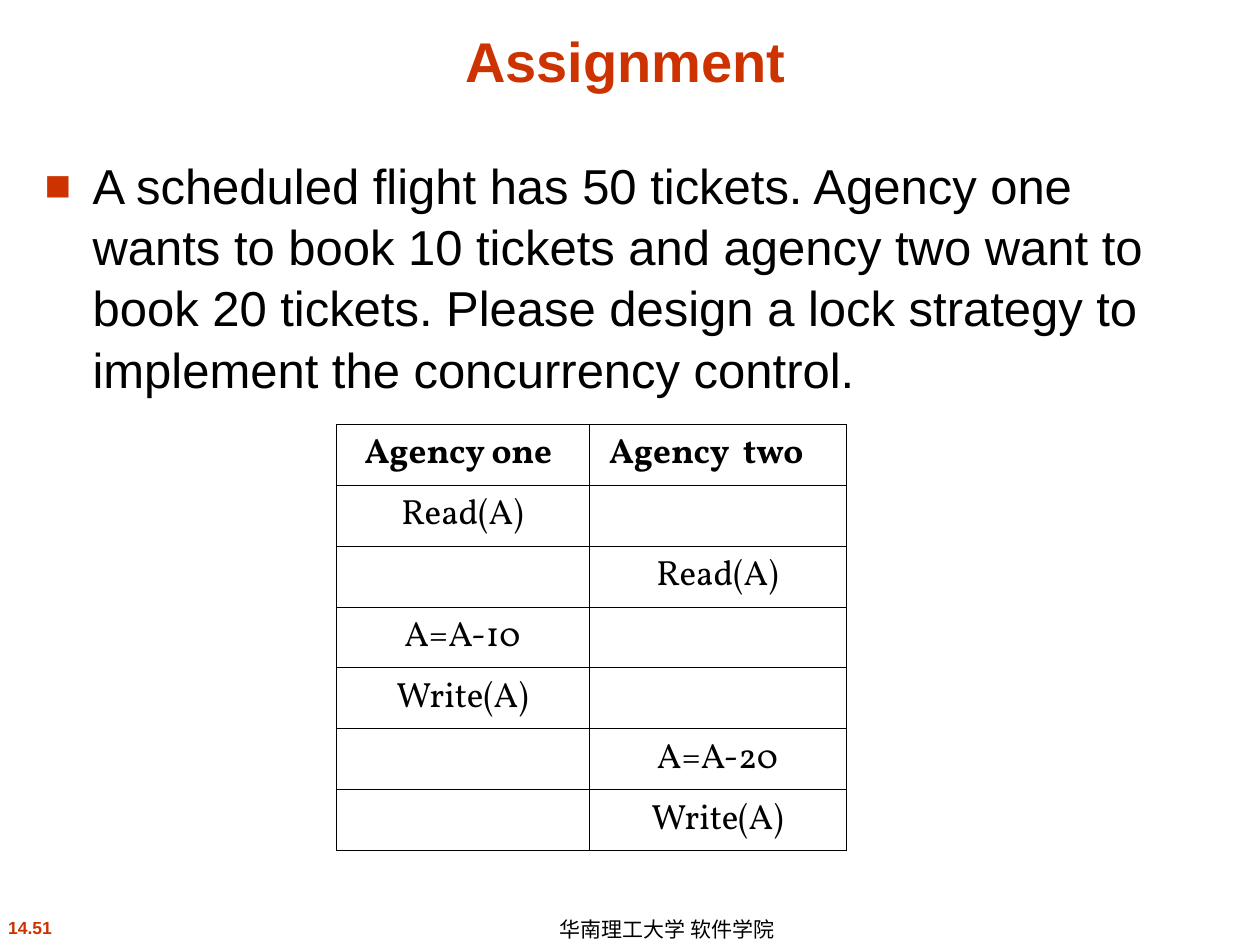
import pptx
import pptx.util
import pptx.dml.color
import pptx.enum.text
import pptx.oxml
import pptx.oxml.ns

ALIGN = pptx.enum.text.PP_ALIGN
ANCHOR = pptx.enum.text.MSO_ANCHOR
PX = 914400 // 126
COLORS = {"accent": "CC3300", "ink": "000000"}

# Content
TITLE = "Assignment"
TASK = ("A scheduled flight has 50 tickets. Agency one wants to book 10 tickets "
        "and agency two want to book 20 tickets. Please design a lock strategy "
        "to implement the concurrency control.")
SCHEDULE = [
    ("Agency one", "Agency  two"),
    ("Read(A)", ""),
    ("", "Read(A)"),
    ("A=A-10", ""),
    ("Write(A)", ""),
    ("", "A=A-20"),
    ("", "Write(A)"),
]
PAGE = "14.51"
FOOTER = "华南理工大学 软件学院"

# Layout in px: left, top, width, height
TITLE_BOX = (32, 16, 1187, 84)
TASK_BOX = (32, 147, 1187, 725)
PAGE_BOX = (-37, 911, 134, 34)
FOOTER_BOX = (505, 914, 282, 31)
TABLE_LEFT, TABLE_TOP = 336, 424
COLUMN_WIDTHS = (253, 257)
ROW_HEIGHT = 61
HEADER_RIGHT_MARGINS = (21, 35)
TASK_INDENT = 48

# Formats
TITLE_FONT = {"name": "Arial", "size": 32, "bold": True, "color": "accent"}
TASK_FONT = {"name": "Arial", "size": 28, "bold": False, "color": "ink"}
PAGE_FONT = {"name": "Arial", "size": 10, "bold": True, "color": "accent"}
FOOTER_FONT = {"name": "Arial", "size": 12, "bold": False, "color": "ink"}
CELL_FONT = {"name": "Vollkorn", "size": 20, "bold": False, "color": "ink"}
HEADER_FONT = {**CELL_FONT, "bold": True}


def px(value):
    return pptx.util.Emu(value * PX)


def place(shape, box):
    for side, value in zip(("left", "top", "width", "height"), box):
        setattr(shape, side, px(value))


def write(frame, text, font, align):
    frame.text = text
    paragraph = frame.paragraphs[0]
    paragraph.alignment = align
    paragraph.space_before = pptx.util.Pt(0)
    run_font = paragraph.runs[0].font
    values = {**font, "size": pptx.util.Pt(font["size"])}
    color = values.pop("color")
    for name, value in values.items():
        setattr(run_font, name, value)
    run_font.color.rgb = pptx.dml.color.RGBColor.from_string(COLORS[color])
    return paragraph


def fill_placeholder(shape, box, text, font, align, anchor):
    place(shape, box)
    frame = shape.text_frame
    frame.auto_size = pptx.enum.text.MSO_AUTO_SIZE.NONE
    frame.vertical_anchor = anchor
    return write(frame, text, font, align)


def add_label(slide, box, text, font, align, anchor):
    frame = slide.shapes.add_textbox(*map(px, box)).text_frame
    frame.word_wrap = False
    frame.vertical_anchor = anchor
    return write(frame, text, font, align)


def add_bullet(paragraph):
    properties = paragraph._p.get_or_add_pPr()
    properties.set("marL", str(px(TASK_INDENT)))
    properties.set("indent", str(-px(TASK_INDENT)))
    namespace = pptx.oxml.ns.nsdecls("a")
    for element in (
        f'<a:buClr {namespace}><a:srgbClr val="{COLORS["accent"]}"/></a:buClr>',
        f'<a:buSzPct {namespace} val="90000"/>',
        f'<a:buFont {namespace} typeface="Arial"/>',
        f'<a:buChar {namespace} char="■"/>',
    ):
        properties.append(pptx.oxml.parse_xml(element))


def add_borders(cell):
    properties = cell._tc.get_or_add_tcPr()
    namespace = pptx.oxml.ns.nsdecls("a")
    for index, side in enumerate(("lnL", "lnR", "lnT", "lnB")):
        properties.insert(index, pptx.oxml.parse_xml(
            f'<a:{side} {namespace} w="{pptx.util.Pt(0.45)}"><a:solidFill>'
            f'<a:srgbClr val="{COLORS["ink"]}"/></a:solidFill></a:{side}>'))


def add_schedule(slide):
    table = slide.shapes.add_table(
        len(SCHEDULE), len(COLUMN_WIDTHS), px(TABLE_LEFT), px(TABLE_TOP),
        px(sum(COLUMN_WIDTHS)), px(ROW_HEIGHT * len(SCHEDULE))).table
    table.first_row = table.horz_banding = False
    for column, width in zip(table.columns, COLUMN_WIDTHS):
        column.width = px(width)
    for row_index, texts in enumerate(SCHEDULE):
        for column_index, text in enumerate(texts):
            cell = table.cell(row_index, column_index)
            cell.fill.background()
            add_borders(cell)
            if row_index == 0:
                cell.margin_right = px(HEADER_RIGHT_MARGINS[column_index])
            if text:
                font = HEADER_FONT if row_index == 0 else CELL_FONT
                write(cell.text_frame, text, font, ALIGN.CENTER)


def main():
    presentation = pptx.Presentation()
    presentation.slide_width = pptx.util.Inches(10)
    presentation.slide_height = pptx.util.Inches(7.5)
    slide = presentation.slides.add_slide(presentation.slide_layouts[1])

    # Page number and footer
    add_label(slide, PAGE_BOX, PAGE, PAGE_FONT, ALIGN.CENTER, ANCHOR.TOP)
    add_label(slide, FOOTER_BOX, FOOTER, FOOTER_FONT, ALIGN.RIGHT, ANCHOR.MIDDLE)

    # Title and task
    fill_placeholder(slide.shapes.title, TITLE_BOX, TITLE, TITLE_FONT,
                     ALIGN.CENTER, ANCHOR.BOTTOM)
    task = fill_placeholder(slide.placeholders[1], TASK_BOX, TASK, TASK_FONT,
                            ALIGN.LEFT, ANCHOR.TOP)
    task.line_spacing = 1.04
    add_bullet(task)

    # Schedule of the two agencies
    add_schedule(slide)
    presentation.save("out.pptx")


if __name__ == "__main__":
    main()
